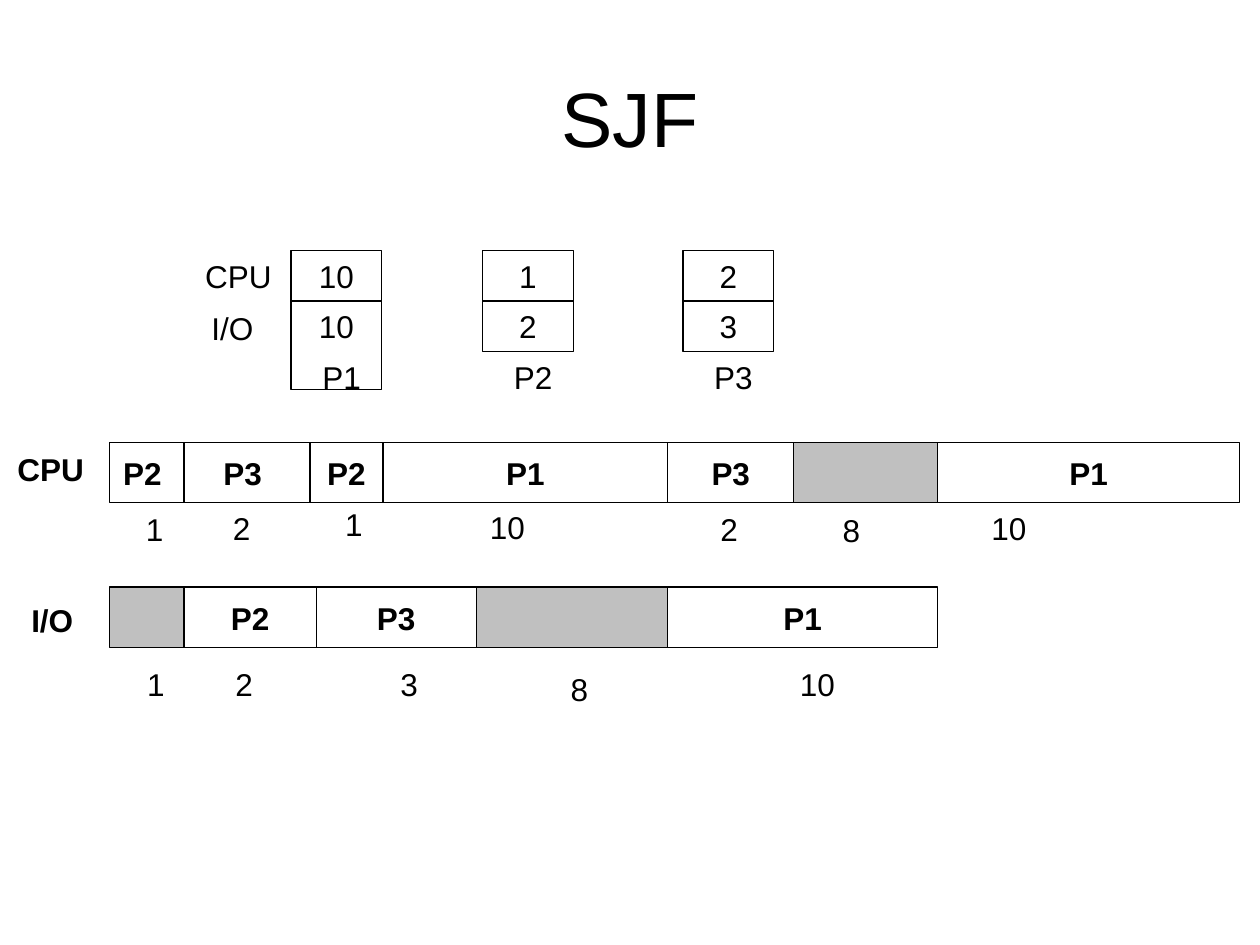
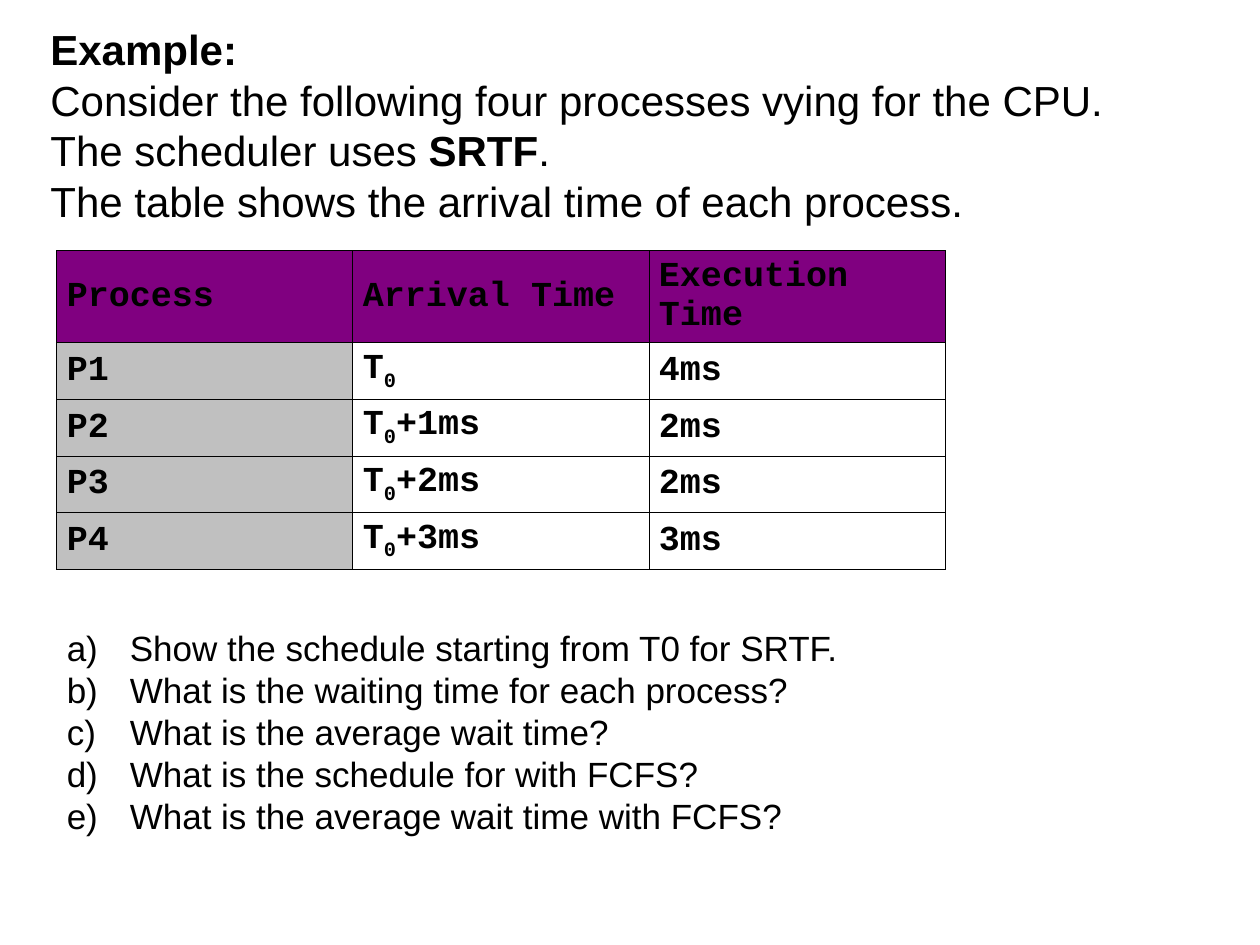
from dataclasses import dataclass

from lxml import etree
from pptx import Presentation
from pptx.dml.color import RGBColor
from pptx.enum import shapes, text
from pptx.oxml import ns
from pptx.util import Inches, Pt


@dataclass(frozen=True)
class Theme:
    ink: RGBColor = RGBColor(0, 0, 0)
    idle: RGBColor = RGBColor(0xC0, 0xC0, 0xC0)
    header: RGBColor = RGBColor(0x80, 0, 0x80)
    font: str = "Arial"
    mono: str = "Courier New"
    title: int = 44
    intro: int = 24
    list: int = 20
    label: int = 18
    outline: float = 0.75
    border: float = 0.45


T = Theme()

# Content, slide 1: bursts as (name, left, CPU time, I/O time, I/O cell height)
SJF_TITLE = "SJF"
BURSTS = [
    ("P1", 2.31, "10", "10", 0.7),
    ("P2", 3.83, "1", "2", 0.4),
    ("P3", 5.42, "2", "3", 0.4),
]
BURST_LABELS = [("CPU", 1.53, 1.99), ("I/O", 1.58, 2.4)]
BURST_TOP, BURST_W, BURST_H = 1.99, 0.72, 0.4

# Timelines: name, its left and top, bar top, then
# (process or None when idle, width, duration, duration left, duration top)
TIMELINE_LEFT, BAR_H = 0.87, 0.48
TIMELINES = [
    ("CPU", 0.04, 3.52, 3.51, [
        ("P2 ", 0.59, "1", 1.06, 4.0),
        ("P3 ", 1.0, "2", 1.75, 3.99),
        ("P2", 0.58, "1", 2.64, 3.96),
        ("P1", 2.26, "10", 3.79, 3.98),
        ("P3", 1.0, "2", 5.62, 4.0),
        (None, 1.14, "8", 6.59, 4.01),
        ("P1", 2.4, "10", 7.77, 3.99),
    ]),
    ("I/O", 0.15, 4.72, 4.66, [
        (None, 0.59, "1", 1.07, 5.23),
        ("P2", 1.05, "2", 1.77, 5.23),
        ("P3", 1.27, "3", 3.08, 5.23),
        (None, 1.52, "8", 4.43, 5.27),
        ("P1", 2.14, "10", 6.25, 5.23),
    ]),
]

# Content, slide 2: paragraphs of (text, style) runs
INTRO = [
    [("Example:", "bold")],
    [("Consider the following four processes vying for the CPU.", "")],
    [("The scheduler uses ", ""), ("SRTF", "bold"), (".", "")],
    [("The table shows the arrival time of each process.", "")],
]
HEADER = ["Process", "Arrival Time", "Execution Time"]
PROCESSES = [  # name, delay after T0, execution time
    ("P1", "", "4ms"),
    ("P2", "+1ms", "2ms"),
    ("P3", "+2ms", "2ms"),
    ("P4", "+3ms", "3ms"),
]
COL_W, ROW_HEIGHTS = 2.35, [0.67, 0.44, 0.44, 0.43, 0.44]
QUESTIONS = [
    "Show the schedule starting from T0 for SRTF.",
    "What is the waiting time for each process?",
    "What is the average wait time?",
    "What is the schedule for with FCFS?",
    "What is the average wait time with FCFS?",
]


# Shared helpers
def inches(*lengths):
    return [Inches(round(v, 2)) for v in lengths]


def place(sp, *box):
    sp.left, sp.top, sp.width, sp.height = inches(*box)


def add_runs(p, runs, size, font=T.font, bold=False):
    for words, style in runs:
        if not words:
            continue
        r = p.add_run()
        r.text = words
        r.font.name, r.font.size = font, Pt(size)
        r.font.bold = bold or style == "bold"
        r.font.color.rgb = T.ink
        if style == "sub":
            r._r.get_or_add_rPr().set("baseline", "-25000")


def write(tf, paragraphs, size, align=text.PP_ALIGN.LEFT,
          anchor=text.MSO_ANCHOR.TOP, wrap=False, bold=False):
    tf.word_wrap, tf.vertical_anchor = wrap, anchor
    tf.auto_size = text.MSO_AUTO_SIZE.NONE
    for i, runs in enumerate(paragraphs):
        p = tf.add_paragraph() if i else tf.paragraphs[0]
        p.alignment = align
        p.space_before = Pt(0)
        add_runs(p, runs, size, bold=bold)


def add_label(s, words, left, top, bold=False):
    sp = s.shapes.add_textbox(*inches(left, top, 0.7, 0.4))
    write(sp.text_frame, [[(words, "")]], T.label, bold=bold)


def add_box(s, words, left, top, width, height, idle=False, **style):
    sp = s.shapes.add_shape(shapes.MSO_SHAPE.RECTANGLE,
                            *inches(left, top, width, height))
    sp.shadow.inherit = False
    sp.line.color.rgb, sp.line.width = T.ink, Pt(T.outline)
    if idle:
        sp.fill.solid()
        sp.fill.fore_color.rgb = T.idle
    else:
        sp.fill.background()
    if words:
        write(sp.text_frame, [[(words, "")]], T.label,
              text.PP_ALIGN.CENTER, **style)


def number_letters(p):
    pPr = p._p.get_or_add_pPr()
    pPr.set("marL", str(Inches(0.5)))
    pPr.set("indent", str(-Inches(0.5)))
    font = etree.SubElement(pPr, ns.qn("a:buFont"))
    font.set("typeface", T.font)
    etree.SubElement(pPr, ns.qn("a:buAutoNum")).set("type", "alphaLcParenR")


def set_borders(cell):
    tcPr = cell._tc.get_or_add_tcPr()
    for i, side in enumerate(("lnL", "lnR", "lnT", "lnB")):
        ln = etree.Element(ns.qn(f"a:{side}"), w=str(Pt(T.border)))
        fill = etree.SubElement(ln, ns.qn("a:solidFill"))
        etree.SubElement(fill, ns.qn("a:srgbClr")).set("val", str(T.ink))
        tcPr.insert(i, ln)


# Slide 1: burst times and the two timelines
def build_sjf(prs):
    s = prs.slides.add_slide(prs.slide_layouts[5])
    place(s.shapes.title, 0.5, 0.3, 9, 1.25)
    write(s.shapes.title.text_frame, [[(SJF_TITLE, "")]], T.title,
          text.PP_ALIGN.CENTER, text.MSO_ANCHOR.MIDDLE, wrap=True)

    for words, left, top in BURST_LABELS:
        add_label(s, words, left, top)
    for name, left, cpu, io_time, io_height in BURSTS:
        add_box(s, cpu, left, BURST_TOP, BURST_W, BURST_H, wrap=True)
        add_box(s, io_time, left, BURST_TOP + BURST_H, BURST_W, io_height,
                wrap=True)
        add_label(s, name, left + 0.15, BURST_TOP + 2 * BURST_H)

    for name, name_left, name_top, bar_top, bars in TIMELINES:
        add_label(s, name, name_left, name_top, bold=True)
        left = TIMELINE_LEFT
        for process, width, duration, time_left, time_top in bars:
            add_box(s, process, left, bar_top, width, BAR_H,
                    idle=process is None, bold=True,
                    anchor=text.MSO_ANCHOR.MIDDLE)
            add_label(s, duration, time_left, time_top)
            left += width


# Slide 2: SRTF exercise
def build_exercise(prs):
    s = prs.slides.add_slide(prs.slide_layouts[1])
    title, body = s.shapes.title, s.placeholders[1]
    place(title, 0.3, 0.14, 8.75, 1.75)
    write(title.text_frame, INTRO, T.intro, wrap=True)

    rows = [[[(h, "")] for h in HEADER]]
    for name, delay, duration in PROCESSES:
        arrival = [("T", ""), ("0", "sub"), (delay, "")]
        rows.append([[(name, "")], arrival, [(duration, "")]])
    frame = s.shapes.add_table(
        len(rows), len(HEADER),
        *inches(0.45, 1.99, COL_W * len(HEADER), sum(ROW_HEIGHTS)))
    table = frame.table
    table.first_row = table.horz_banding = False
    for col in table.columns:
        col.width = Inches(COL_W)
    for i, (row, height) in enumerate(zip(rows, ROW_HEIGHTS)):
        table.rows[i].height = Inches(height)
        for j, runs in enumerate(row):
            cell = table.cell(i, j)
            cell.vertical_anchor = text.MSO_ANCHOR.MIDDLE
            cell.margin_left = cell.margin_right = Inches(0.08)
            add_runs(cell.text_frame.paragraphs[0], runs, T.list, T.mono, True)
            if i == 0 or j == 0:
                cell.fill.solid()
                cell.fill.fore_color.rgb = T.idle if i else T.header
            else:
                cell.fill.background()
            set_borders(cell)

    place(body, 0.43, 4.92, 6.4, 1.77)
    write(body.text_frame, [[(q, "")] for q in QUESTIONS], T.list, wrap=True)
    for p in body.text_frame.paragraphs:
        number_letters(p)


def main():
    prs = Presentation()
    prs.slide_width, prs.slide_height = Inches(10), Inches(7.5)
    build_sjf(prs)
    build_exercise(prs)
    prs.save("out.pptx")


if __name__ == "__main__":
    main()
